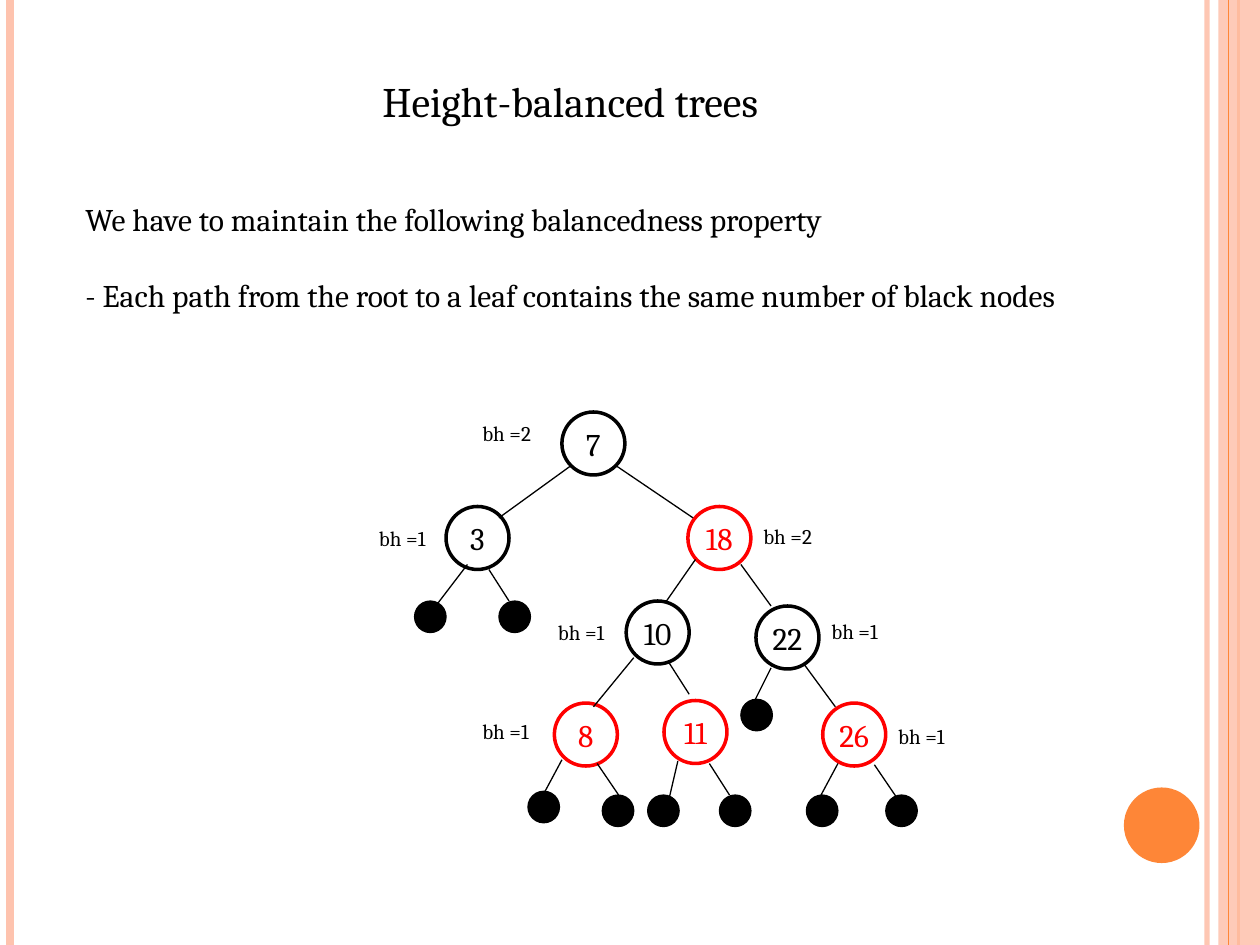
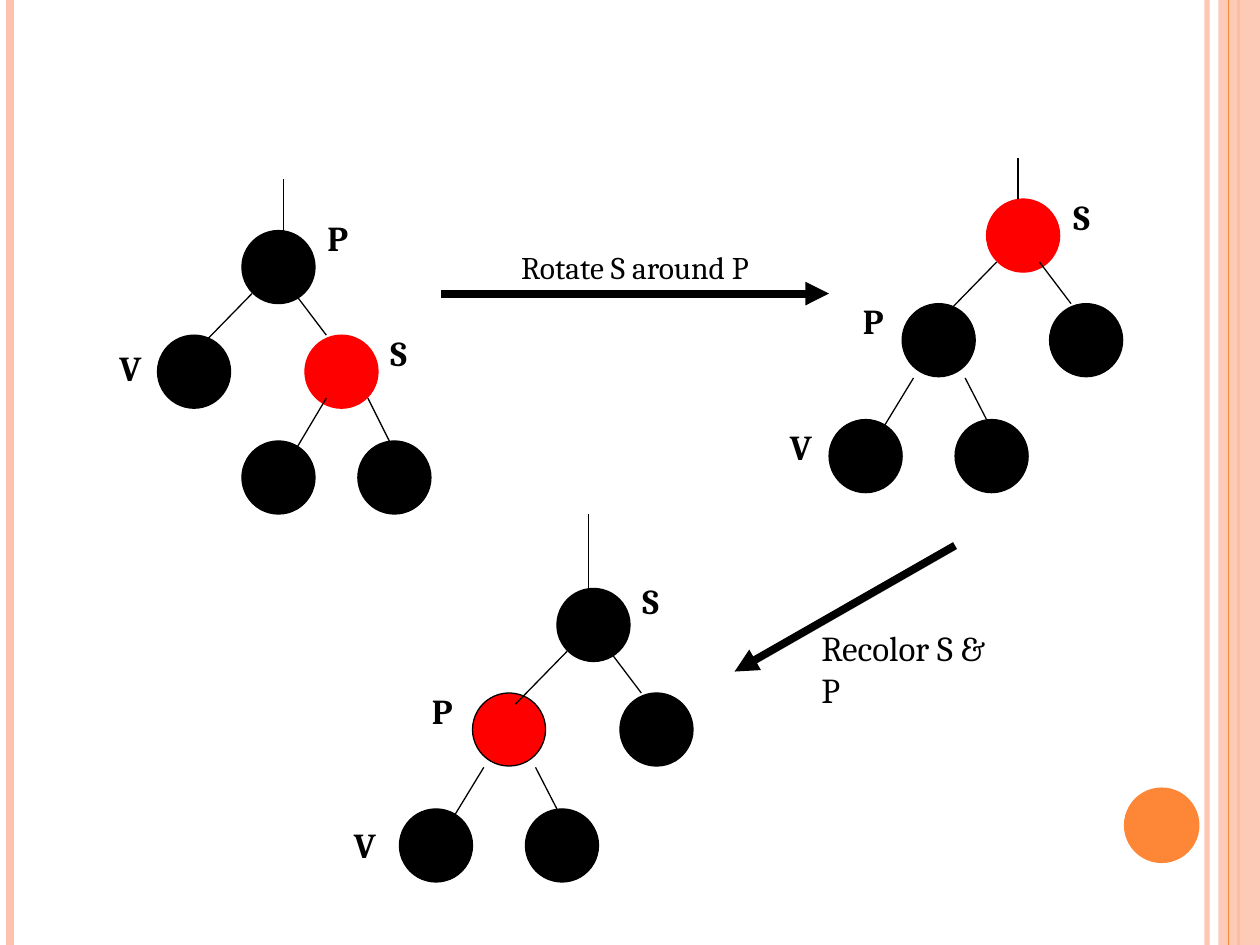
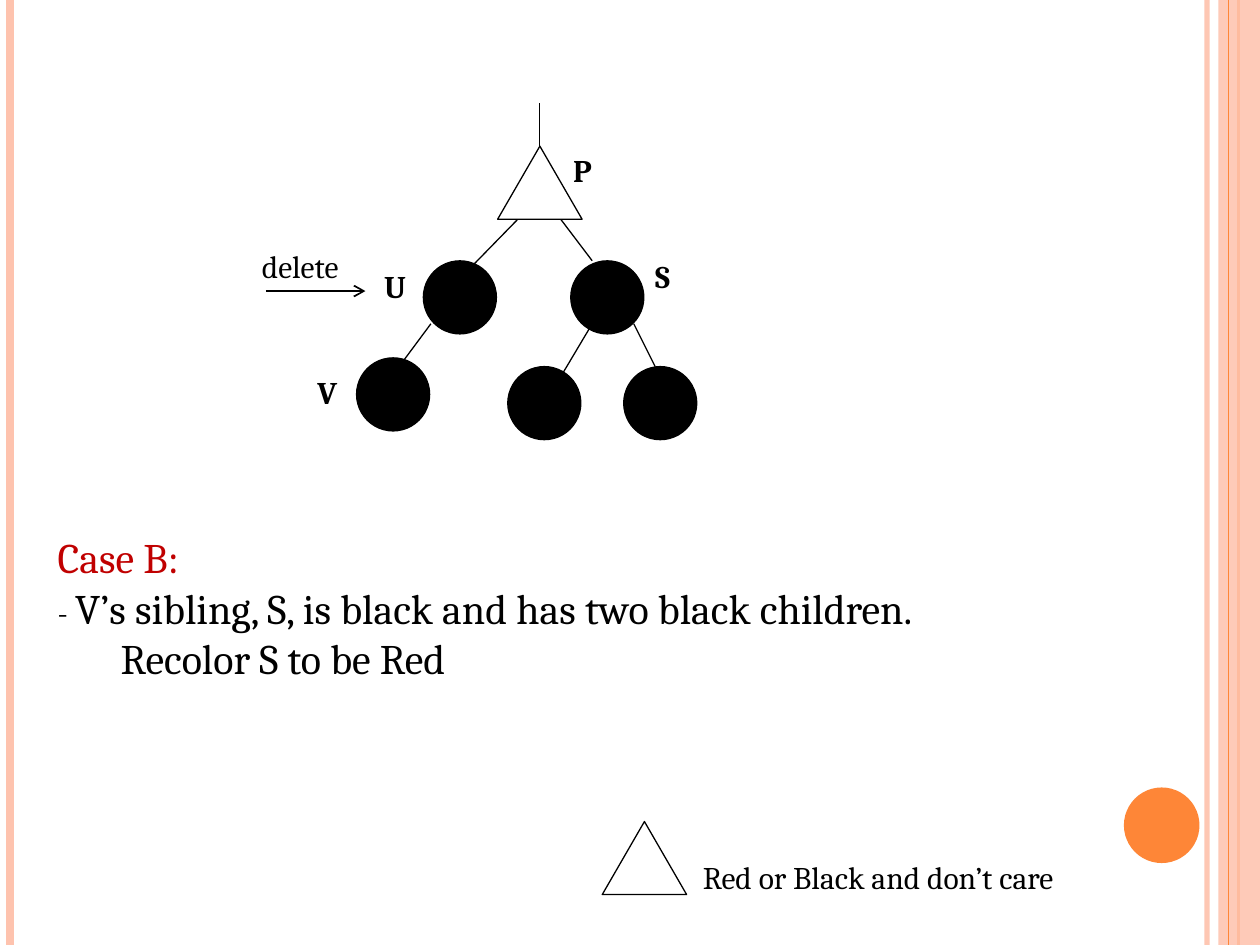
from dataclasses import dataclass
from typing import NamedTuple

from lxml import etree
from pptx import Presentation
from pptx.dml.color import RGBColor
from pptx.enum.shapes import MSO_CONNECTOR, MSO_SHAPE
from pptx.enum.text import MSO_ANCHOR, MSO_AUTO_SIZE, PP_ALIGN
from pptx.oxml.ns import qn
from pptx.util import Inches, Pt

STRAIGHT = MSO_CONNECTOR.STRAIGHT
OVAL, RECTANGLE, TRIANGLE = MSO_SHAPE.OVAL, MSO_SHAPE.RECTANGLE, MSO_SHAPE.ISOSCELES_TRIANGLE
MIDDLE, GROW = MSO_ANCHOR.MIDDLE, MSO_AUTO_SIZE.SHAPE_TO_FIT_TEXT
LEFT, CENTER = PP_ALIGN.LEFT, PP_ALIGN.CENTER

FONT = "Cambria"
BLACK, WHITE, RED, DARK_RED = "000000", "FFFFFF", "FF0000", "C00000"
ORANGE, PEACH = "FE8637", "FEC3AE"
SLIDE_WIDTH, SLIDE_HEIGHT = 10, 7.5
NODE_SIZE, KEY_SIZE, LEAF_SIZE = 0.58, 0.5, 0.25


class Edge(NamedTuple):
    x1: float
    y1: float
    x2: float
    y2: float


class Stripe(NamedTuple):
    x: float
    color: str
    width: float
    opacity: int = 100


class Label(NamedTuple):
    text: str
    x: float
    y: float
    width: float


class KeyNode(NamedTuple):
    key: str
    x: float
    y: float
    color: str


class Paint(NamedTuple):
    fill: str
    outline: str


@dataclass(frozen=True)
class Tree:
    nodes: tuple[tuple[float, float], ...]
    edges: tuple[Edge, ...]


BLACK_NODE, RED_NODE, NEW_RED_NODE = Paint(BLACK, BLACK), Paint(RED, RED), Paint(RED, BLACK)

ROOT_NODES = ((0, 0), (-0.67, 0.83), (0.5, 0.83))
ROOT_EDGES = (Edge(0.08, 0.5, -0.33, 0.92), Edge(0.42, 0.5, 0.67, 0.83))
RIGHT_TREE = Tree(
    ROOT_NODES + ((0, 1.67), (0.92, 1.67)),
    ROOT_EDGES + (Edge(0.67, 1.33, 0.42, 1.75), Edge(1, 1.33, 1.17, 1.67)),
)
LEFT_TREE = Tree(
    ROOT_NODES + ((-1.25, 1.75), (-0.25, 1.75)),
    ROOT_EDGES + (Edge(-0.58, 1.42, -0.83, 1.83), Edge(-0.17, 1.42, 0, 1.75)),
)

KEY_NODES = (
    KeyNode("7", 4.46, 3.27, BLACK),
    KeyNode("3", 3.54, 4.02, BLACK),
    KeyNode("18", 5.46, 4.02, RED),
    KeyNode("10", 4.97, 4.77, BLACK),
    KeyNode("22", 6, 4.81, BLACK),
    KeyNode("26", 6.53, 5.58, RED),
    KeyNode("11", 5.27, 5.56, RED),
    KeyNode("8", 4.4, 5.58, RED),
)
KEY_EDGES = (
    Edge(4.54, 3.69, 3.96, 4.11), Edge(4.88, 3.69, 5.5, 4.11),
    Edge(3.71, 4.48, 3.42, 4.86), Edge(3.88, 4.52, 4.04, 4.77),
    Edge(5.52, 4.44, 5.29, 4.77), Edge(5.88, 4.48, 6.12, 4.81),
    Edge(5.03, 5.22, 4.71, 5.61), Edge(5.31, 5.26, 5.47, 5.51),
    Edge(6.12, 5.3, 5.98, 5.58), Edge(6.38, 5.27, 6.63, 5.61),
    Edge(4.46, 6.03, 4.31, 6.31), Edge(4.74, 6.06, 4.91, 6.31),
    Edge(5.38, 6.04, 5.31, 6.34), Edge(5.63, 6.06, 5.79, 6.31),
    Edge(6.65, 6.06, 6.5, 6.34), Edge(6.94, 6.07, 7.11, 6.32),
)
LEAVES = (
    (3.29, 4.77), (3.96, 4.77), (5.88, 5.55), (4.19, 6.28), (4.78, 6.31),
    (5.14, 6.31), (5.71, 6.31), (6.4, 6.31), (7.03, 6.31),
)
BLACK_HEIGHTS = (
    (2, 3.73, 3.29), (2, 5.96, 4.11), (1, 2.91, 4.12), (1, 4.33, 4.87),
    (1, 6.5, 4.86), (1, 7.03, 5.69), (1, 3.73, 5.65),
)
ROTATION_LABELS = (
    Label("P", 2.5, 1.67, 0.33), Label("S", 3, 2.58, 0.42), Label("V", 0.85, 2.7, 0.83),
    Label("P", 6.75, 2.33, 0.33), Label("S", 8.42, 1.5, 0.42), Label("V", 6.17, 3.33, 0.83),
    Label("P", 3.33, 5.42, 0.33), Label("S", 5, 4.55, 0.42), Label("V", 2.71, 6.49, 0.83),
)
CASE_LABELS = (
    Label("P", 4.45, 1.15, 0.33), Label("S", 5.1, 1.99, 0.42),
    Label("U", 2.95, 2.07, 0.83), Label("V", 2.42, 2.91, 0.83),
)
STRIPES = (
    Stripe(9.58, PEACH, 3, 93), Stripe(0.08, PEACH, 4.5), Stripe(9.83, ORANGE, 1.5),
)
THIN_STRIPE = Stripe(9.75, ORANGE, 0.75)


def rgb(color: str) -> RGBColor:
    return RGBColor.from_string(color)


def set_opacity(element, percent: int) -> None:
    color = next(element.iter(qn("a:srgbClr")))
    etree.SubElement(color, qn("a:alpha")).set("val", str(percent * 1000))


def add_line(slide, edge: Edge, width: float = 0.75, color: str = BLACK, head: str = ""):
    connector = slide.shapes.add_connector(STRAIGHT, *(Inches(value) for value in edge))
    connector.line.width = Pt(width)
    connector.line.color.rgb = rgb(color)
    properties = connector._element.spPr
    if head:
        etree.SubElement(properties.find(qn("a:ln")), qn("a:tailEnd")).set("type", head)
    etree.SubElement(properties, qn("a:effectLst"))
    return connector


def add_figure(slide, kind, x: float, y: float, width: float, height: float,
               fill: str, outline: str = "", line_width: float = 0.75):
    shape = slide.shapes.add_shape(kind, Inches(x), Inches(y), Inches(width), Inches(height))
    shape.shadow.inherit = False
    shape.fill.solid()
    shape.fill.fore_color.rgb = rgb(fill)
    if outline:
        shape.line.color.rgb = rgb(outline)
        shape.line.width = Pt(line_width)
    else:
        shape.line.fill.background()
    return shape


def style_paragraph(paragraph, size: float, color: str = BLACK, bold: bool = False,
                    alignment=LEFT) -> None:
    paragraph.alignment = alignment
    font = paragraph.font
    font.name, font.size, font.bold = FONT, Pt(size), bold
    font.color.rgb = rgb(color)


def add_frame(slide, x: float, y: float, width: float, height: float):
    frame = slide.shapes.add_textbox(
        Inches(x), Inches(y), Inches(width), Inches(height)).text_frame
    frame.word_wrap = True
    frame.auto_size = GROW
    return frame


def add_text(slide, label: Label, height: float, size: float, bold: bool = False,
             alignment=LEFT) -> None:
    paragraph = add_frame(slide, label.x, label.y, label.width, height).paragraphs[0]
    paragraph.text = label.text
    style_paragraph(paragraph, size, bold=bold, alignment=alignment)


def add_node(slide, x: float, y: float, paint: Paint) -> None:
    add_figure(slide, OVAL, x, y, NODE_SIZE, NODE_SIZE, paint.fill, paint.outline)


def add_triangle(slide, x: float, y: float) -> None:
    add_figure(slide, TRIANGLE, x, y, 0.67, NODE_SIZE, WHITE, BLACK)


def add_key_node(slide, node: KeyNode) -> None:
    shape = add_figure(slide, OVAL, node.x, node.y, KEY_SIZE, KEY_SIZE, WHITE, node.color, 2)
    frame = shape.text_frame
    frame.word_wrap = False
    frame.vertical_anchor = MIDDLE
    frame.text = node.key
    style_paragraph(frame.paragraphs[0], 18, node.color, alignment=CENTER)


def add_tree(slide, tree: Tree, x: float, y: float, recolored: dict[int, Paint],
             has_root: bool = True) -> None:
    for index, (dx, dy) in enumerate(tree.nodes):
        if index or has_root:
            add_node(slide, x + dx, y + dy, recolored.get(index, BLACK_NODE))
    for edge in tree.edges:
        add_line(slide, Edge(x + edge.x1, y + edge.y1, x + edge.x2, y + edge.y2))


def add_stripe(slide, stripe: Stripe) -> None:
    edge = Edge(stripe.x, 0, stripe.x, SLIDE_HEIGHT)
    connector = add_line(slide, edge, stripe.width, stripe.color)
    if stripe.opacity < 100:
        set_opacity(connector._element, stripe.opacity)


def add_decorated_slide(presentation):
    slide = presentation.slides.add_slide(presentation.slide_layouts[6])
    slide.background.fill.solid()
    slide.background.fill.fore_color.rgb = rgb(WHITE)
    for stripe in STRIPES:
        add_stripe(slide, stripe)
    band = add_figure(slide, RECTANGLE, 9.67, 0, 0.33, SLIDE_HEIGHT, PEACH)
    set_opacity(band._element, 87)
    add_stripe(slide, THIN_STRIPE)
    add_figure(slide, OVAL, 8.92, 6.25, 0.6, 0.6, ORANGE)
    return slide


def build_balanced_tree(presentation) -> None:
    slide = add_decorated_slide(presentation)
    add_text(slide, Label("Height-balanced trees", 1.69, 0.55, 5.67), 0.5, 24, alignment=CENTER)
    frame = add_frame(slide, 0.58, 1.54, 8.75, 1.31)
    frame.text = (
        "We have to maintain the following balancedness property\n"
        "- Each path from the root to a leaf contains the same number of black nodes"
    )
    for paragraph in frame.paragraphs:
        style_paragraph(paragraph, 18)
    frame.paragraphs[1].space_before = Pt(21.5)
    for node in KEY_NODES:
        add_key_node(slide, node)
    for edge in KEY_EDGES:
        add_line(slide, edge)
    for x, y in LEAVES:
        add_figure(slide, OVAL, x, y, LEAF_SIZE, LEAF_SIZE, BLACK, BLACK)
    for height, x, y in BLACK_HEIGHTS:
        add_text(slide, Label(f"bh ={height}", x, y, 0.76), 0.3, 12)


def build_rotation(presentation) -> None:
    slide = add_decorated_slide(presentation)
    add_tree(slide, RIGHT_TREE, 1.92, 1.83, {2: RED_NODE})
    add_tree(slide, LEFT_TREE, 7.83, 1.58, {0: RED_NODE})
    add_tree(slide, LEFT_TREE, 4.42, 4.67, {1: NEW_RED_NODE})
    for label in ROTATION_LABELS:
        add_text(slide, label, 0.44, 20, bold=True)
    add_line(slide, Edge(3.5, 2.33, 6.58, 2.33), 4.5, head="triangle")
    add_text(slide, Label("Rotate S around P", 3.75, 1.92, 2.58), 0.4, 18, alignment=CENTER)
    add_line(slide, Edge(7.58, 4.33, 5.83, 5.33), 4.5, head="triangle")
    add_text(slide, Label("Recolor S & P", 6.42, 4.92, 1.67), 1.28, 20)
    for x, bottom, top in ((2.25, 1.92, 1.42), (8.08, 1.58, 1.25), (4.67, 4.67, 4.08)):
        add_line(slide, Edge(x, bottom, x, top))


def build_case_b(presentation) -> None:
    slide = add_decorated_slide(presentation)
    add_tree(slide, RIGHT_TREE, 4.03, 1.24, {}, has_root=False)
    add_triangle(slide, 3.95, 1.16)
    add_line(slide, Edge(4.28, 0.82, 4.28, 1.16))
    add_node(slide, 2.83, 2.84, BLACK_NODE)
    add_line(slide, Edge(3.42, 2.57, 3.16, 2.92))
    for label in CASE_LABELS:
        add_text(slide, label, 0.4, 18, bold=True)

    frame = add_frame(slide, 0.36, 4.17, 8.17, 1.31)
    frame.text = "Case B:\n- \nRecolor S to be Red"
    heading, condition, action = frame.paragraphs
    condition.add_run().text = "V’s sibling, S, is black and has two black children."
    action.level = 1
    action._p.get_or_add_pPr().set("marL", str(Inches(0.5)))
    action._p.get_or_add_pPr().set("indent", "0")
    for paragraph, color in ((heading, DARK_RED), (condition, BLACK), (action, BLACK)):
        style_paragraph(paragraph, 24, color)
    condition.runs[0].font.size = Pt(18)

    add_line(slide, Edge(2.11, 2.31, 2.9, 2.31), 1, head="arrow")
    add_text(slide, Label("delete", 1.98, 1.91, 1.05), 0.4, 18)
    add_triangle(slide, 4.78, 6.52)
    add_text(slide, Label("Red or Black and don’t care", 5.48, 6.76, 4.42), 0.5, 18)


def main() -> None:
    presentation = Presentation()
    presentation.slide_width = Inches(SLIDE_WIDTH)
    presentation.slide_height = Inches(SLIDE_HEIGHT)
    build_balanced_tree(presentation)
    build_rotation(presentation)
    build_case_b(presentation)
    presentation.save("out.pptx")


if __name__ == "__main__":
    main()
